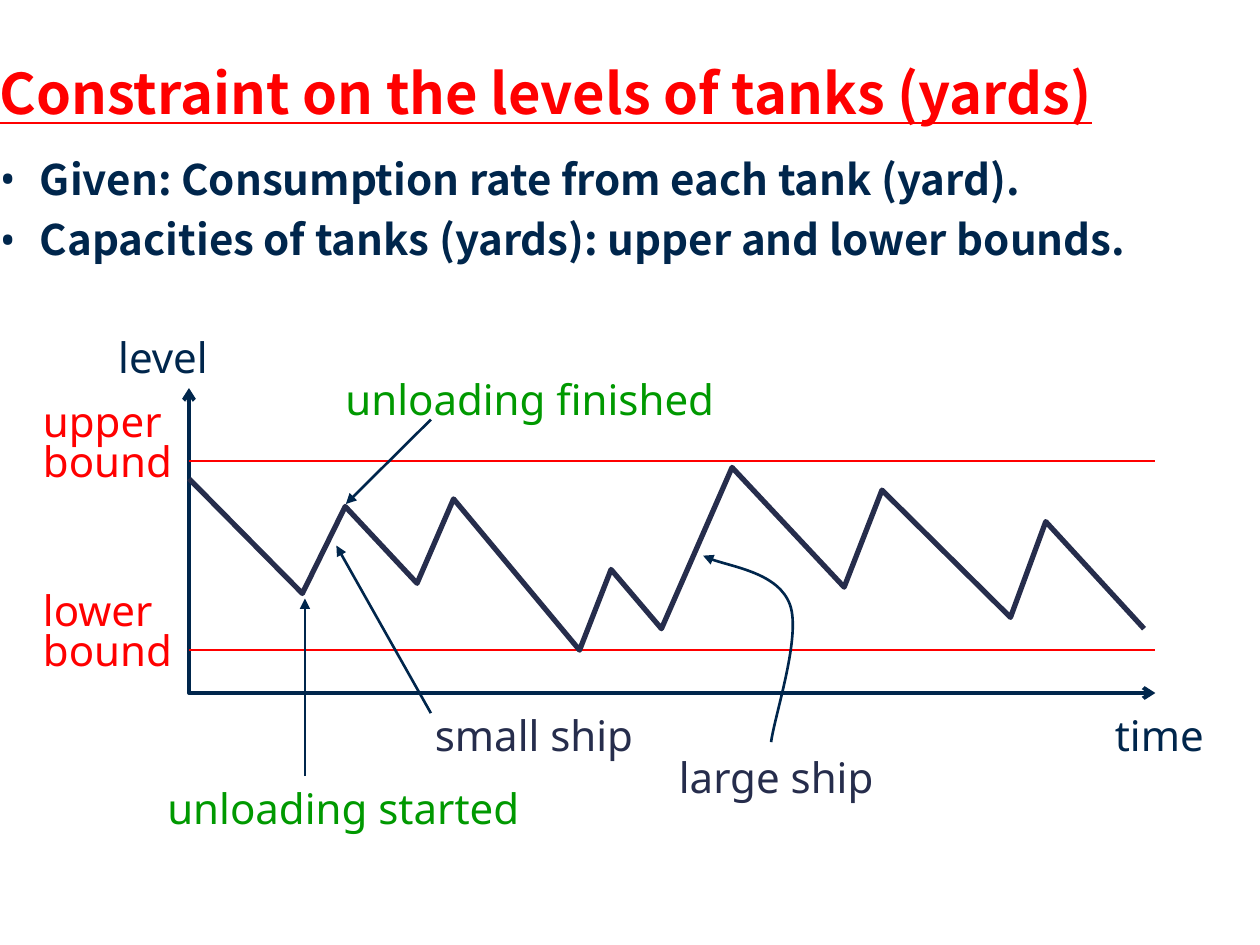
from lxml import etree
from pptx import Presentation
from pptx.dml.color import RGBColor
from pptx.enum.shapes import MSO_CONNECTOR
from pptx.enum.text import MSO_AUTO_SIZE
from pptx.oxml.ns import qn
from pptx.util import Pt

STRAIGHT = MSO_CONNECTOR.STRAIGHT
GROW = MSO_AUTO_SIZE.SHAPE_TO_FIT_TEXT

COLORS = {"navy": "00264C", "ink": "262D4C", "red": "FF0000", "green": "009900"}
BODY_FONT, BOLD_FONT = "Noto Sans", "Noto Sans CJK JP"

TITLE = "Constraint on the levels of tanks (yards)"
POINTS = ["Given: Consumption rate from each tank (yard).",
          "Capacities of tanks (yards): upper and lower bounds."]

# Chart geometry, in points
AXIS_LEFT, AXIS_RIGHT, AXIS_TOP, AXIS_BOTTOM = 108, 660.24, 221.76, 396
BOUND_LEVELS = [263.52, 371.52]
TANK_LEVEL = [(108, 273.6), (172.8, 339.12), (197.28, 289.44), (238.32, 333.36),
              (259.2, 285.12), (331.2, 371.52), (349.2, 325.44), (378, 359.28),
              (418.32, 267.12), (482.4, 335.52), (504, 280.08), (577.44, 352.8),
              (597.6, 298.08), (653.76, 359.28)]

# Pointers run from label to curve
POINTERS = [((174.24, 443.52), (174.24, 342)),
            ((246.24, 239.76), (197.64, 288)),
            ((246.24, 407.52), (192.24, 311.76))]
LARGE_SHIP_POINTER = [(401.76, 317.52), (410.4, 322.56), (444.96, 327.6), (451.44, 345.6),
                      (457.92, 363.6), (442.8, 408.24), (440.64, 424.08)]

# Lines, left, top, width, height, colour, line spacing
LABELS = [(["level"], 60.5, 180, 69, 42, "navy", 1.2),
          (["time"], 630, 396, 69, 42, "navy", 1.2),
          (["upper", "bound"], 17.5, 228, 92, 53.3, "red", 0.8),
          (["lower", "bound"], 17.5, 336, 92, 53.3, "red", 0.8),
          (["unloading finished"], 190.3, 204, 230, 42, "green", 1.2),
          (["unloading started"], 88.5, 437.8, 220, 42, "green", 1.2),
          (["small ship"], 241.4, 396, 132, 42, "ink", 1.2),
          (["large ship"], 380.9, 420, 130, 42, "ink", 1.2)]

prs = Presentation()
prs.slide_width, prs.slide_height = Pt(720), Pt(540)
slide = prs.slides.add_slide(prs.slide_layouts[6])
shapes = slide.shapes


def rgb(color):
    return RGBColor.from_string(COLORS[color])


def style_line(shape, color, width, head=None, tail=None):
    shape.line.color.rgb = rgb(color)
    shape.line.width = Pt(width)
    ln = shape.line._get_or_add_ln()
    for tag, arrow in (("a:headEnd", head), ("a:tailEnd", tail)):
        if arrow:
            etree.SubElement(ln, qn(tag), type=arrow)


def add_line(start, end, color, tail=None):
    line = shapes.add_connector(STRAIGHT, *(Pt(v) for v in start + end))
    style_line(line, color, 1.5, tail=tail)
    etree.SubElement(line._element.spPr, qn("a:effectLst"))


def add_outline(points, color, width, **arrows):
    (x, y), *rest = [(Pt(px), Pt(py)) for px, py in points]
    builder = shapes.build_freeform(x, y)
    builder.add_line_segments(rest, close=False)
    outline = builder.convert_to_shape()
    outline.fill.background()
    outline.shadow.inherit = False
    style_line(outline, color, width, **arrows)
    return outline


def bend(outline):
    """Turn each three line segments into one cubic curve."""
    segments = list(outline._element.iter(qn("a:lnTo")))
    for i in range(0, len(segments), 3):
        curve = etree.Element(qn("a:cubicBezTo"))
        segments[i].addprevious(curve)
        for segment in segments[i:i + 3]:
            curve.append(segment[0])
            segment.getparent().remove(segment)


def add_text(lines, left, top, width, height, color, spacing,
             size=24, font=BODY_FONT, bold=False, underline=False):
    box = shapes.add_textbox(Pt(left), Pt(top), Pt(width), Pt(height))
    frame = box.text_frame
    frame.word_wrap = True
    frame.auto_size = GROW
    frame.text = "\n".join(lines)
    for paragraph in frame.paragraphs:
        paragraph.line_spacing = spacing
        style = paragraph.runs[0].font
        style.size, style.name = Pt(size), font
        style.bold, style.underline = bold, underline
        style.color.rgb = rgb(color)
    return frame


def add_bullets(frame, indent):
    for paragraph in frame.paragraphs:
        props = paragraph._p.get_or_add_pPr()
        props.set("marL", str(Pt(indent)))
        props.set("indent", str(-Pt(indent)))
        bullet_color = etree.SubElement(props, qn("a:buClr"))
        etree.SubElement(bullet_color, qn("a:srgbClr"), val=COLORS["navy"])
        etree.SubElement(props, qn("a:buFont"), typeface=BODY_FONT)
        etree.SubElement(props, qn("a:buChar"), char="•")


# Axes, bounds and tank level
add_outline([(AXIS_LEFT, AXIS_TOP), (AXIS_LEFT, AXIS_BOTTOM), (AXIS_RIGHT, AXIS_BOTTOM)],
            "navy", 2.25, head="arrow", tail="arrow")
for level in BOUND_LEVELS:
    add_line((AXIS_LEFT, level), (AXIS_RIGHT, level), "red")
add_outline(TANK_LEVEL, "ink", 3)

# Pointers
for start, end in POINTERS:
    add_line(start, end, "navy", tail="triangle")
bend(add_outline(LARGE_SHIP_POINTER, "navy", 1.5, head="triangle"))

# Title, bullet points and labels
add_text([TITLE], -7.2, 30, 660, 46, "red", 1.0,
         size=32, font=BOLD_FONT, bold=True, underline=True)
add_bullets(add_text(POINTS, -7.2, 78.2, 665, 76.3, "navy", 1.2,
                     font=BOLD_FONT, bold=True), indent=23)
for label in LABELS:
    add_text(*label)

prs.save("out.pptx")
